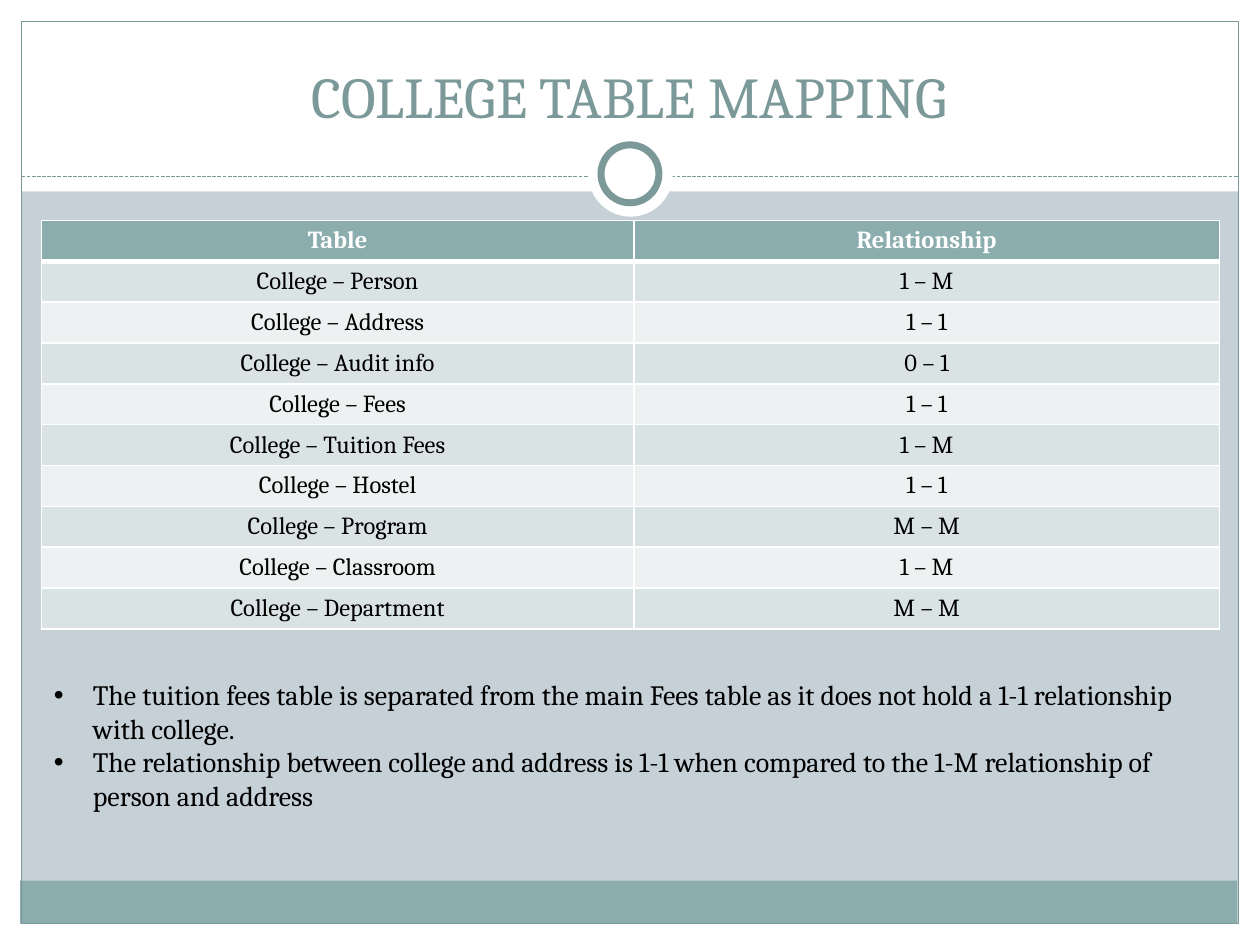
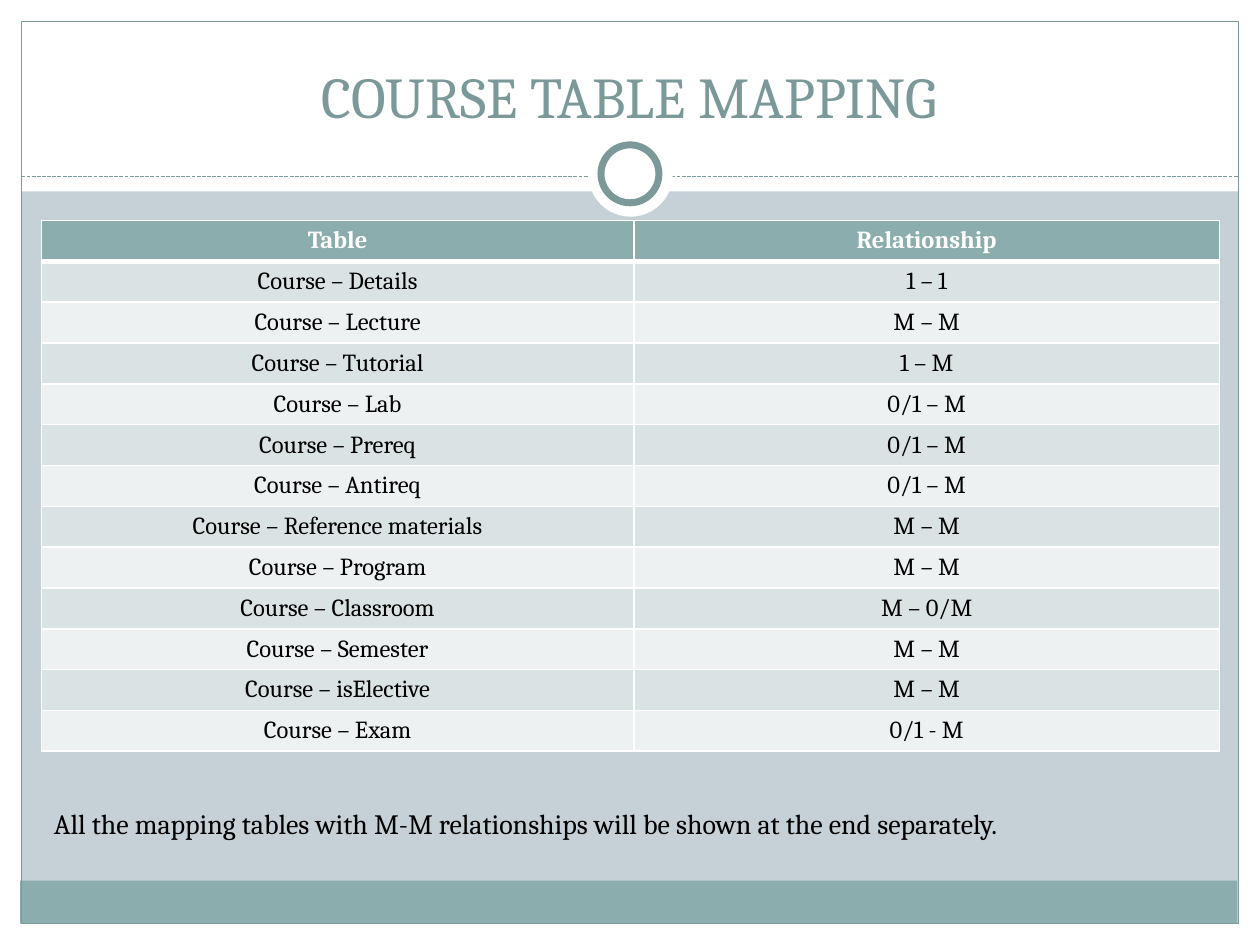
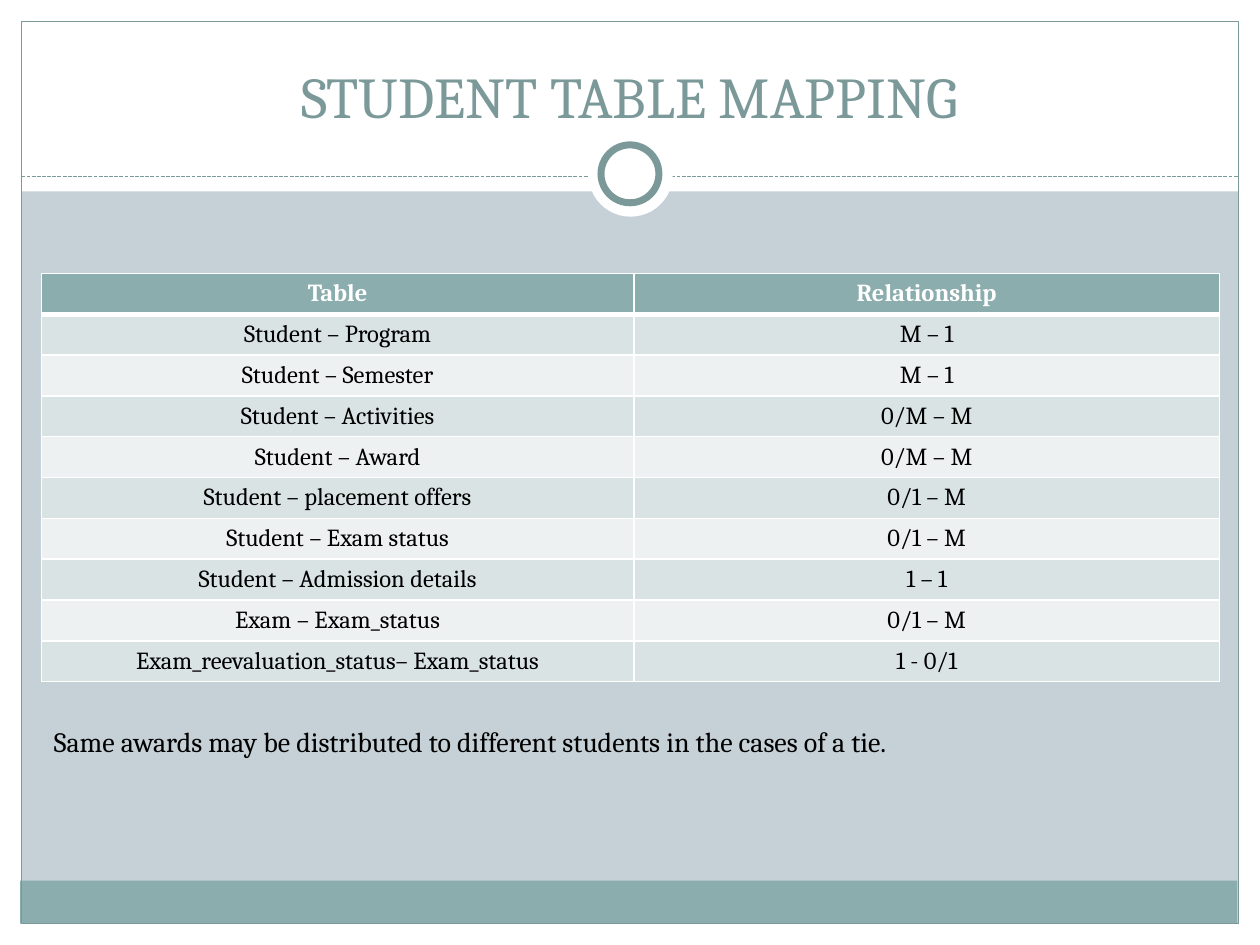
"""Build three slides that list the table mappings of a college database."""
from lxml.etree import SubElement
from pptx import Presentation
from pptx.dml.color import RGBColor
from pptx.enum.dml import MSO_LINE
from pptx.enum.shapes import MSO_CONNECTOR, MSO_SHAPE as SHAPE
from pptx.enum.text import MSO_ANCHOR as ANCHOR, MSO_AUTO_SIZE, PP_ALIGN as ALIGN
from pptx.oxml.ns import qn
from pptx.util import Inches, Pt

WHITE, BLACK = "FFFFFF", "000000"
BACKGROUND, TEAL, DARK_TEAL = "C5D1D7", "8CADAE", "7C999A"
ROW_FILLS = ["EEF1F2", "DAE3E3"]
FONT = "Cambria"
ROW_HEIGHT = 0.3

BACKDROP = [
    (SHAPE.RECTANGLE, 0, 7.33, 10, 0.17, WHITE, None),
    (SHAPE.RECTANGLE, 0, 0, 10, 1.52, WHITE, None),
    (SHAPE.RECTANGLE, 0, 0, 0.17, 7.5, WHITE, None),
    (SHAPE.RECTANGLE, 9.83, 0, 0.17, 7.5, WHITE, None),
    (SHAPE.RECTANGLE, 0.16, 6.99, 9.66, 0.34, TEAL, None),
    (SHAPE.RECTANGLE, 0.17, 0.17, 9.66, 7.16, None, 0.75),
    (SHAPE.OVAL, 4.67, 1.05, 0.67, 0.67, WHITE, None),
    (SHAPE.OVAL, 4.77, 1.15, 0.46, 0.46, WHITE, 4),
]

SLIDES = [
    {
        "title": "COLLEGE TABLE MAPPING",
        "table_top": 1.75,
        "rows": [
            ("College – Person", "1 – M"),
            ("College – Address", "1 – 1"),
            ("College – Audit info", "0 – 1"),
            ("College – Fees", "1 – 1"),
            ("College – Tuition Fees", "1 – M"),
            ("College – Hostel", "1 – 1"),
            ("College – Program", "M – M"),
            ("College – Classroom", "1 – M"),
            ("College – Department", "M – M"),
        ],
        "notes": [
            "The tuition fees table is separated from the main Fees table as it "
            "does not hold a 1-1 relationship with college.",
            "The relationship between college and address is 1-1 when compared to "
            "the 1-M relationship of person and address",
        ],
        "notes_place": (5.33, 1.45, ANCHOR.TOP),
    },
    {
        "title": "COURSE TABLE MAPPING",
        "table_top": 1.75,
        "rows": [
            ("Course – Details", "1 – 1"),
            ("Course – Lecture", "M – M"),
            ("Course – Tutorial", "1 – M"),
            ("Course – Lab", "0/1 – M"),
            ("Course – Prereq", "0/1 – M"),
            ("Course – Antireq", "0/1 – M"),
            ("Course – Reference materials", "M – M"),
            ("Course – Program", "M – M"),
            ("Course – Classroom", "M – 0/M"),
            ("Course – Semester", "M – M"),
            ("Course – isElective", "M – M"),
            ("Course – Exam", "0/1 - M"),
        ],
        "notes": ["All the mapping tables with M-M relationships will be shown at the end separately."],
        "notes_place": (6.08, 0.91, ANCHOR.MIDDLE),
    },
    {
        "title": "STUDENT TABLE MAPPING",
        "table_top": 2.17,
        "rows": [
            ("Student – Program", "M – 1"),
            ("Student – Semester", "M – 1"),
            ("Student – Activities", "0/M – M"),
            ("Student – Award", "0/M – M"),
            ("Student – placement offers", "0/1 – M"),
            ("Student – Exam status", "0/1 – M"),
            ("Student – Admission details", "1 – 1"),
            ("Exam – Exam_status", "0/1 – M"),
            ("Exam_reevaluation_status– Exam_status", "1 - 0/1"),
        ],
        "notes": ["Same awards may be distributed to different students in the cases of a tie."],
        "notes_place": (5.7, 0.37, ANCHOR.TOP),
    },
]


def paint(target, color):
    """Give a fill or a line one solid colour."""
    target.solid()
    target.fore_color.rgb = RGBColor.from_string(color)


def format_text(paragraph, size, color, align, bold=False):
    """Align a paragraph and style its runs."""
    paragraph.alignment = align
    for span in paragraph.runs:
        span.font.name = FONT
        span.font.size = Pt(size)
        span.font.bold = bold
        span.font.color.rgb = RGBColor.from_string(color)


deck = Presentation()
deck.slide_width, deck.slide_height = Inches(10), Inches(7.5)
paint(deck.slide_master.background.fill, BACKGROUND)

for content in SLIDES:
    page = deck.slides.add_slide(deck.slide_layouts[5])

    for kind, left, top, width, height, fill, line_width in BACKDROP:
        if kind == SHAPE.OVAL and line_width is None:
            divider = page.shapes.add_connector(
                MSO_CONNECTOR.STRAIGHT, Inches(0.17), Inches(1.4), Inches(9.83), Inches(1.4))
            paint(divider.line.fill, DARK_TEAL)
            divider.line.width = Pt(0.75)
            divider.line.dash_style = MSO_LINE.SQUARE_DOT
            SubElement(divider.element.spPr, qn("a:effectLst"))
        panel = page.shapes.add_shape(kind, Inches(left), Inches(top), Inches(width), Inches(height))
        panel.shadow.inherit = False
        if fill:
            paint(panel.fill, fill)
        else:
            panel.fill.background()
        if line_width:
            paint(panel.line.fill, DARK_TEAL)
            panel.line.width = Pt(line_width)
        else:
            panel.line.fill.background()

    title = page.shapes.title
    title.element.getparent().append(title.element)
    title.left, title.top, title.width, title.height = (Inches(n) for n in (0.33, 0.25, 9.33, 0.83))
    title.text_frame.text = content["title"]
    title.text_frame.auto_size = MSO_AUTO_SIZE.NONE
    title.text_frame.vertical_anchor = ANCHOR.BOTTOM
    format_text(title.text_frame.paragraphs[0], 33, DARK_TEAL, ALIGN.CENTER)

    rows = [("Table", "Relationship")] + content["rows"]
    table = page.shapes.add_table(
        len(rows), 2, Inches(0.33), Inches(content["table_top"]),
        Inches(9.35), Inches(ROW_HEIGHT * len(rows))).table
    table.columns[0].width, table.columns[1].width = Inches(4.7), Inches(4.65)
    for row_index, row in enumerate(rows):
        table.rows[row_index].height = Inches(ROW_HEIGHT)
        is_header = row_index == 0
        border_widths = {"L": 1, "R": 1, "T": 3 if row_index == 1 else 1, "B": 3 if is_header else 1}
        for column_index, text in enumerate(row):
            cell = table.cell(row_index, column_index)
            cell.text_frame.text = text
            format_text(cell.text_frame.paragraphs[0], 14,
                        WHITE if is_header else BLACK, ALIGN.CENTER, is_header)
            properties = cell._tc.get_or_add_tcPr()
            for side, points in border_widths.items():
                border = SubElement(properties, qn(f"a:ln{side}"), w=str(Pt(points)))
                SubElement(SubElement(border, qn("a:solidFill")), qn("a:srgbClr"), val=WHITE)
            paint(cell.fill, TEAL if is_header else ROW_FILLS[row_index % 2])

    top, height, anchor = content["notes_place"]
    notes = page.shapes.add_textbox(Inches(0.33), Inches(top), Inches(9.33), Inches(height))
    notes.text_frame.word_wrap = True
    notes.text_frame.vertical_anchor = anchor
    notes.text_frame.text = "\n".join(content["notes"])
    for paragraph in notes.text_frame.paragraphs:
        format_text(paragraph, 16, BLACK, ALIGN.LEFT)
        if len(content["notes"]) > 1:
            properties = paragraph._p.get_or_add_pPr()
            properties.set("marL", str(Inches(0.31)))
            properties.set("indent", str(Inches(-0.31)))
            SubElement(properties, qn("a:buFont"), typeface="Arial")
            SubElement(properties, qn("a:buChar"), char="•")

deck.save("out.pptx")
